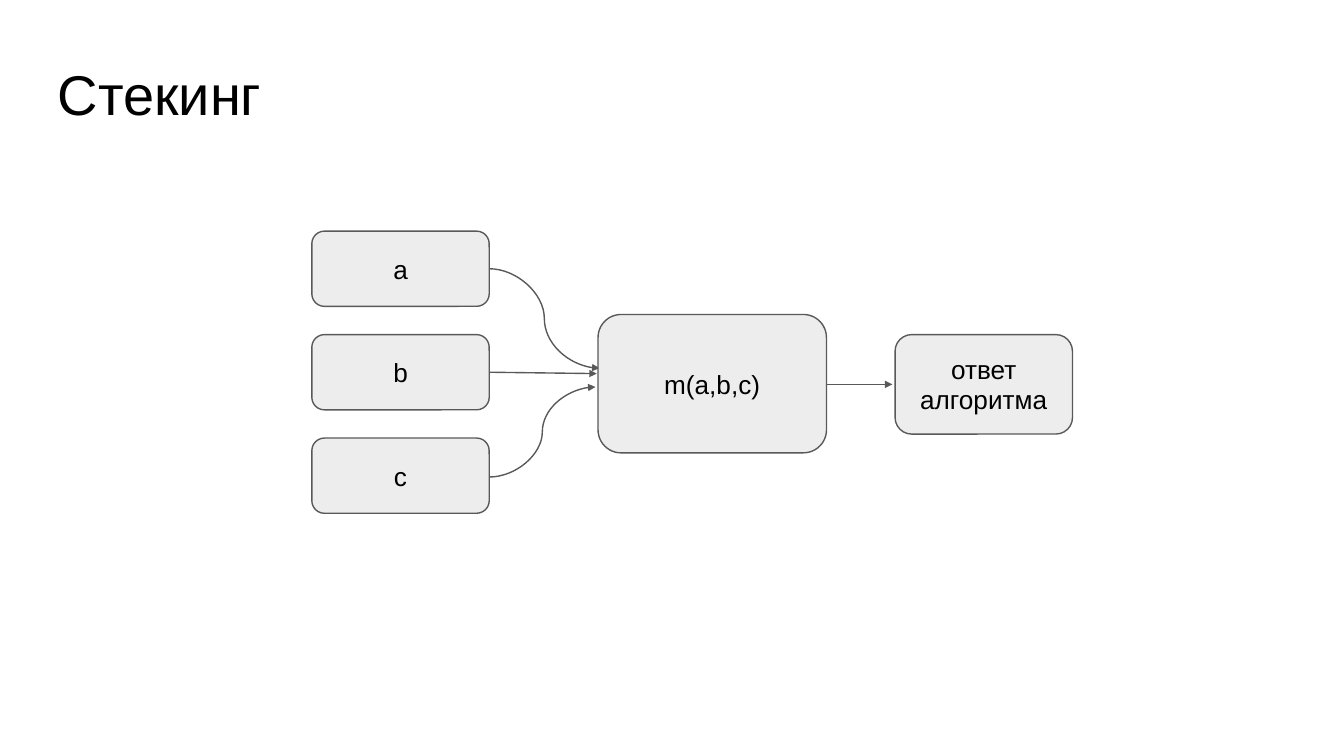
from pptx import Presentation
from pptx import util as u
from pptx.dml.color import RGBColor
from pptx.enum import shapes, text
from pptx.oxml.ns import qn
from lxml import etree


def color(hex_value):
    return RGBColor.from_string(hex_value)


def write(frame, words, size=14, align=text.PP_ALIGN.CENTER,
          anchor=text.MSO_ANCHOR.MIDDLE, spacing=None, wrap=True):
    frame.margin_left = frame.margin_right = 0
    frame.margin_top = frame.margin_bottom = 0
    frame.word_wrap = wrap
    frame.vertical_anchor = anchor
    frame.text = words
    paragraph = frame.paragraphs[0]
    paragraph.alignment = align
    if spacing:
        paragraph.line_spacing = u.Pt(spacing)
    for run in paragraph.runs:
        run.font.size = u.Pt(size)
        run.font.name = "Arial"
        run.font.color.rgb = color("000000")


class Diagram:
    fill = "EDEDED"
    stroke = "595959"
    stroke_width = u.Pt(0.75)

    def __init__(self, slide):
        self.slide = slide

    def outline(self, line):
        line.color.rgb = color(self.stroke)
        line.width = self.stroke_width

    def title(self, words, left, top, width, height):
        box = self.slide.shapes.add_textbox(*map(u.Inches, (left, top, width, height)))
        write(box.text_frame, words, size=30, align=text.PP_ALIGN.LEFT,
              anchor=text.MSO_ANCHOR.TOP, wrap=False)

    def node(self, words, left, top, width, height, **text_format):
        box = self.slide.shapes.add_shape(
            shapes.MSO_SHAPE.ROUNDED_RECTANGLE,
            *map(u.Inches, (left, top, width, height)))
        box.shadow.inherit = False
        box.fill.solid()
        box.fill.fore_color.rgb = color(self.fill)
        self.outline(box.line)
        write(box.text_frame, words, **text_format)

    def arrow(self, start, end, kind=shapes.MSO_CONNECTOR.STRAIGHT):
        connector = self.slide.shapes.add_connector(kind, *map(u.Inches, start + end))
        self.outline(connector.line)
        properties = connector._element.spPr
        etree.SubElement(properties.find(qn("a:ln")), qn("a:tailEnd"),
                         type="triangle", w="sm", len="sm")
        etree.SubElement(properties, qn("a:effectLst"))


def main():
    deck = Presentation()
    deck.slide_width = u.Inches(10)
    deck.slide_height = deck.slide_width * 9 // 16
    diagram = Diagram(deck.slides.add_slide(deck.slide_layouts[6]))
    diagram.title("Стекинг", 0.43, 0.44, 1.54, 0.53)

    model_left, width, height = 2.32, 1.32, 0.56
    model_right = model_left + width
    first_top, step = 1.72, 0.77
    curved = shapes.MSO_CONNECTOR.CURVE
    straight = shapes.MSO_CONNECTOR.STRAIGHT
    models = [("a", 2.0, (4.46, 2.74), curved),
              ("b", 2.77, (4.44, 2.78), straight),
              ("c", 3.55, (4.43, 2.88), curved)]
    for row, (name, exit_height, target, kind) in enumerate(models):
        diagram.node(name, model_left, first_top + row * step, width, height)
        diagram.arrow((model_right, exit_height), target, kind)

    diagram.node("m(a,b,c)", 4.45, 2.34, 1.7, 1.03)
    diagram.arrow((6.15, 2.86), (6.64, 2.86))
    diagram.node("ответ алгоритма", 6.66, 2.49, width, 0.74, spacing=16.5)
    deck.save("out.pptx")


if __name__ == "__main__":
    main()
